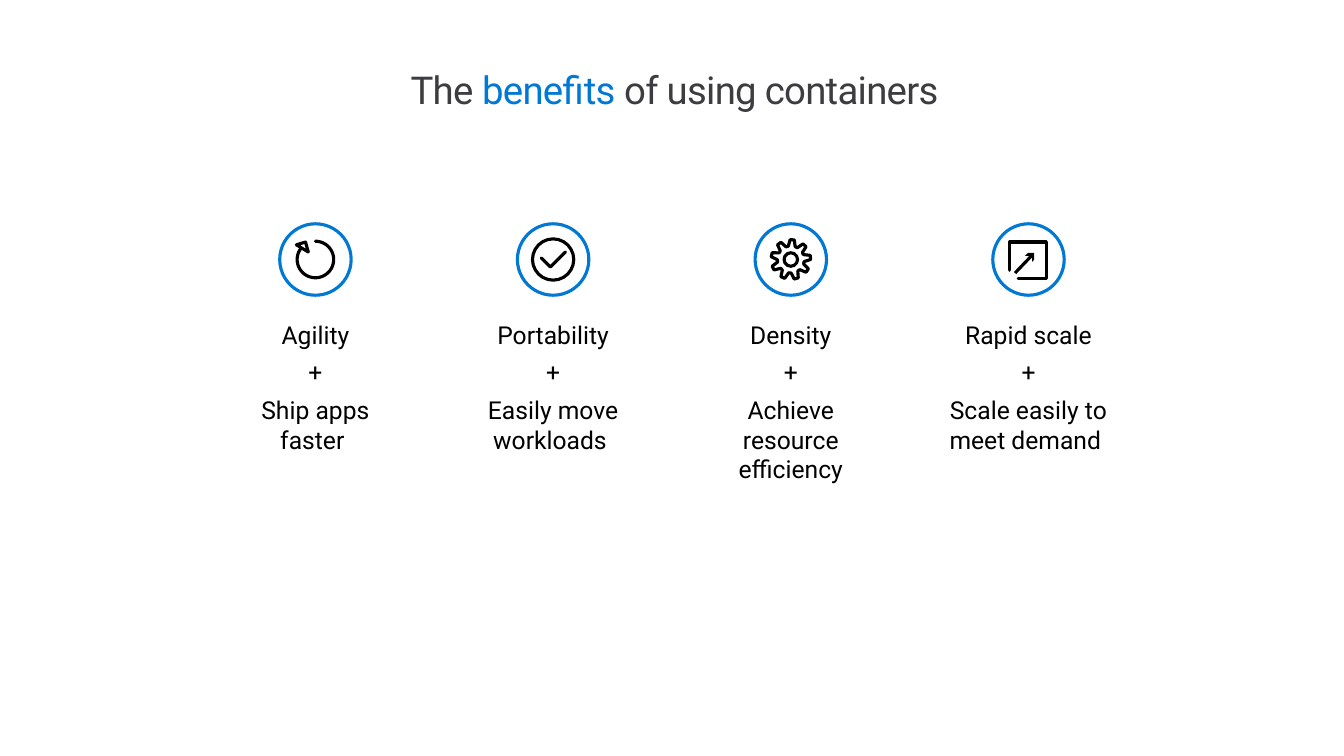
from math import cos, radians, sin

from lxml import etree
from pptx import Presentation
from pptx.dml.color import RGBColor
from pptx.enum.shapes import MSO_CONNECTOR, MSO_SHAPE
from pptx.enum.text import MSO_ANCHOR, MSO_AUTO_SIZE, PP_ALIGN
from pptx.oxml.ns import qn
from pptx.util import Cm, Pt

OVAL = MSO_SHAPE.OVAL
STRAIGHT = MSO_CONNECTOR.STRAIGHT
CENTER = PP_ALIGN.CENTER
TOP = MSO_ANCHOR.TOP
NO_RESIZE = MSO_AUTO_SIZE.NONE

BLUE = RGBColor(0x00, 0x78, 0xD4)
BLACK = RGBColor(0, 0, 0)
WHITE = RGBColor(0xFF, 0xFF, 0xFF)
GRAY = RGBColor(0x3C, 0x3C, 0x41)
FONT = "Roboto"

FIRST_CENTER, COLUMN_STEP, ICON_CENTER = 7.95, 5.99, 6.54
BADGE_SIZE = 1.8
TEXT_TOP, TEXT_WIDTH, TEXT_HEIGHT = 8.05, 4.28, 3.45

BENEFITS = [
    ("Agility", "Ship apps faster "),
    ("Portability", "Easily move workloads "),
    ("Density", "Achieve resource efficiency"),
    ("Rapid scale", "Scale easily to meet demand "),
]


def style(shape, fill=None, line=BLACK):
    """Set fill and a rounded 2.25 pt line; None means no fill or no line."""
    shape.shadow.inherit = False
    if fill is None:
        shape.fill.background()
    else:
        shape.fill.solid()
        shape.fill.fore_color.rgb = fill
    if line is None:
        shape.line.fill.background()
    else:
        shape.line.color.rgb = line
        shape.line.width = Pt(2.25)
        outline = shape.element.spPr.get_or_add_ln()
        outline.set("cap", "rnd")
        etree.SubElement(outline, qn("a:round"))


def polar(radius, degrees):
    return radius * cos(radians(degrees)), radius * sin(radians(degrees))


deck = Presentation()
deck.slide_width, deck.slide_height = Cm(33.87), Cm(19.05)
page = deck.slides.add_slide(deck.slide_layouts[5])

title = page.shapes.title
title.left, title.top, title.width, title.height = Cm(8.51), Cm(1.73), Cm(16.97), Cm(1.1)
frame = title.text_frame
frame.margin_left = frame.margin_top = frame.margin_right = frame.margin_bottom = 0
frame.vertical_anchor = TOP
frame.auto_size = NO_RESIZE
para = frame.paragraphs[0]
para.alignment = CENTER
para.line_spacing = Pt(31.4)
for text, color in [("The ", GRAY), ("benefits", BLUE), (" of using containers", GRAY)]:
    span = para.add_run()
    span.text = text
    span.font.name, span.font.size, span.font.color.rgb = FONT, Pt(27.4), color
    span.font._element.set("spc", "-50")

# Icon parts are in centimetres from the centre of their badge
reload_arc = [polar(0.46, angle) for angle in range(270, 580, 3)]
reload_tip = [(-0.48, -0.37), (-0.25, -0.44), (-0.18, -0.19)]
check = [(0.31, -0.19), (-0.07, 0.19), (-0.3, -0.04)]
gear = [
    polar(radius, tooth + offset)
    for tooth in range(-6, 354, 40)
    for radius, offset in [(0.34, -15), (0.5, -6), (0.5, 6), (0.34, 15)]
]
scale_tip = [(0.09, 0.06), (0.09, -0.09), (-0.09, -0.09),
             (-0.01, -0.17), (0.14, -0.17), (0.14, 0.01)]
scale_frame = [(-0.26, 0.47), (0.45, 0.47), (0.45, -0.44), (-0.47, -0.44), (-0.47, 0.27)]

# Per column: outlines as (points, closed, fill, line), then ring diameter
ICONS = [
    ([(reload_arc, False, None, BLACK), (reload_tip, True, WHITE, BLACK)], None),
    ([(check, False, None, BLACK)], 1.04),
    ([(gear, True, None, BLACK)], 0.34),
    ([(scale_tip, True, BLACK, None), (scale_frame, False, None, BLACK)], None),
]

for column, ((heading, detail), (outlines, ring)) in enumerate(zip(BENEFITS, ICONS)):
    center = FIRST_CENTER + column * COLUMN_STEP

    circles = [(BADGE_SIZE, WHITE, BLUE)]
    if ring:
        circles.append((ring, None, BLACK))
    for size, fill, line in circles:
        circle = page.shapes.add_shape(
            OVAL, Cm(center - size / 2), Cm(ICON_CENTER - size / 2), Cm(size), Cm(size))
        style(circle, fill, line)

    for points, closed, fill, line in outlines:
        corners = [(Cm(center + x), Cm(ICON_CENTER + y)) for x, y in points]
        builder = page.shapes.build_freeform(*corners[0])
        builder.add_line_segments(corners[1:], close=closed)
        style(builder.convert_to_shape(), fill, line)

    box = page.shapes.add_textbox(
        Cm(center - TEXT_WIDTH / 2), Cm(TEXT_TOP), Cm(TEXT_WIDTH), Cm(TEXT_HEIGHT))
    frame = box.text_frame
    frame.word_wrap = True
    frame.margin_left = frame.margin_top = frame.margin_right = frame.margin_bottom = 0
    for index, text in enumerate([heading, "+", detail]):
        para = frame.add_paragraph() if index else frame.paragraphs[0]
        para.alignment = CENTER
        para.space_after = Pt(5.9)
        span = para.add_run()
        span.text = text
        span.font.name, span.font.size, span.font.color.rgb = FONT, Pt(17.6), BLACK

# The diagonal shaft belongs to the last column's icon
shaft = page.shapes.add_connector(
    STRAIGHT, Cm(center - 0.34), Cm(ICON_CENTER + 0.34), Cm(center + 0.09), Cm(ICON_CENTER - 0.11))
shaft.line.color.rgb = BLACK
shaft.line.width = Pt(2.25)
etree.SubElement(shaft.element.spPr, qn("a:effectLst"))

deck.save("out.pptx")
